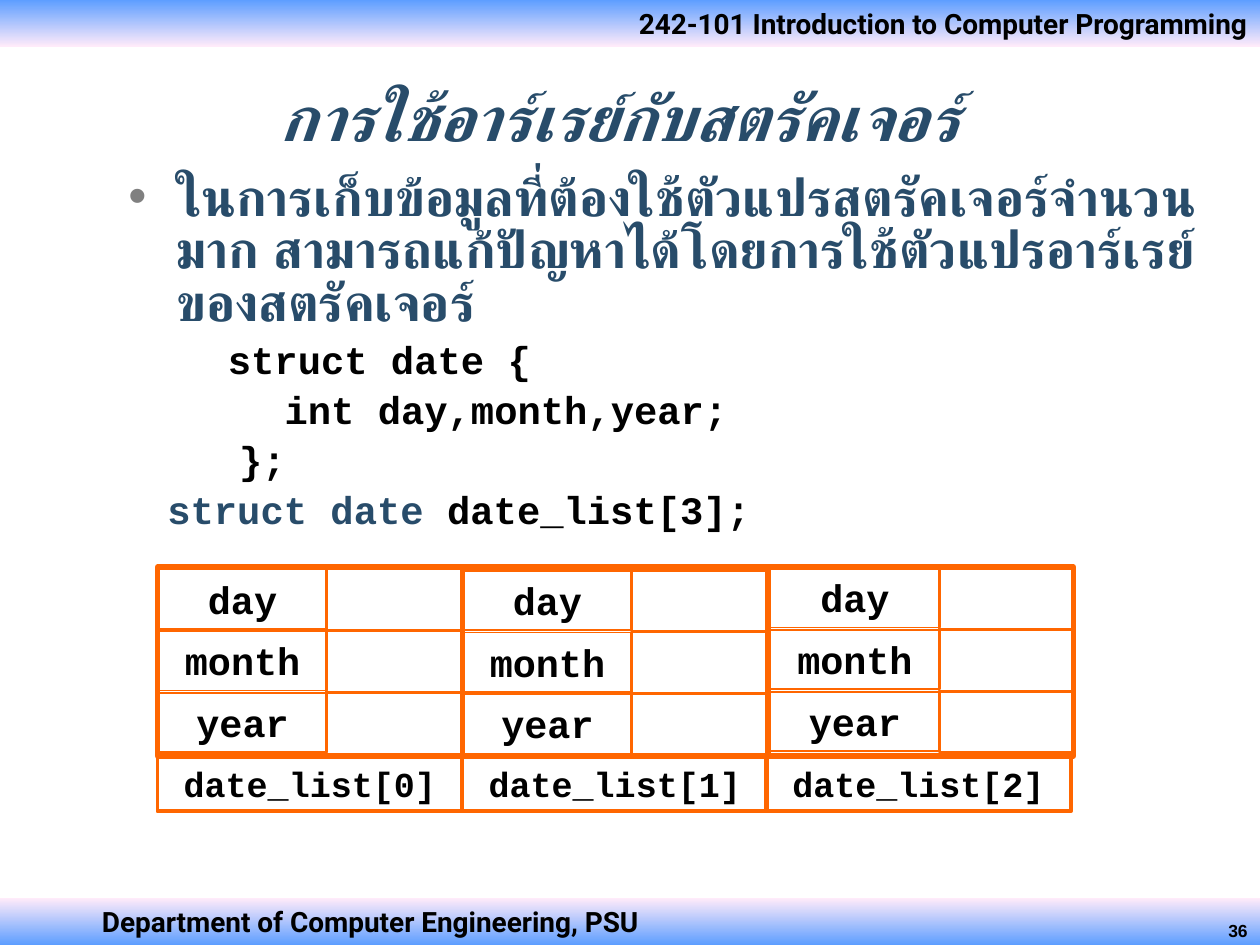
from pptx import Presentation
from pptx.dml.color import RGBColor
from pptx.enum.shapes import MSO_SHAPE as Shape
from pptx.enum.text import MSO_ANCHOR as Anchor, PP_ALIGN as Align
from pptx.oxml import parse_xml
from pptx.oxml.ns import nsdecls
from pptx.util import Inches, Pt


def color(value):
    return RGBColor.from_string(value)


class SlideBuilder:
    SANS, MONO = "Roboto", "Courier New"
    BLACK, NAVY, ORANGE = "000000", "284C6A", "FF6600"
    SKY, PINK, GRAY = "5E9EFF", "FFEBFA", "808080"

    def __init__(self, deck):
        self.page = deck.slides.add_slide(deck.slide_layouts[6])

    def style(self, para, size, font, ink=BLACK, italic=False, align=Align.LEFT):
        para.alignment = align
        para.font.size = Pt(size)
        para.font.name = font
        para.font.bold = True
        para.font.italic = italic
        para.font.color.rgb = color(ink)

    def textbox(self, left, top, width, height, anchor=Anchor.TOP):
        box = self.page.shapes.add_textbox(
            Inches(left), Inches(top), Inches(width), Inches(height))
        box.text_frame.word_wrap = True
        box.text_frame.vertical_anchor = anchor
        return box.text_frame

    def label(self, left, top, width, height, text, size, font,
              ink=BLACK, italic=False, align=Align.RIGHT, anchor=Anchor.TOP):
        para = self.textbox(left, top, width, height, anchor).paragraphs[0]
        para.text = text
        self.style(para, size, font, ink, italic, align)

    def rectangle(self, left, top, width, height):
        box = self.page.shapes.add_shape(
            Shape.RECTANGLE, Inches(left), Inches(top), Inches(width), Inches(height))
        box.shadow.inherit = False
        box.text_frame.vertical_anchor = Anchor.TOP
        return box

    def band(self, top, colors, text, align, inset=0.1):
        box = self.rectangle(0, top, 10, 0.37)
        box.line.fill.background()
        box.fill.gradient()
        box.fill.gradient_angle = 270
        for stop, position, value in zip(box.fill.gradient_stops, (0, 1), colors):
            stop.position = position
            stop.color.rgb = color(value)
        box.text_frame.margin_left = Inches(inset)
        para = box.text_frame.paragraphs[0]
        para.text = text
        self.style(para, 16, self.SANS, align=align)

    def cell(self, left, top, width, height, weight, text="", size=22):
        box = self.rectangle(left, top, width, height)
        box.fill.background()
        box.line.color.rgb = color(self.ORANGE)
        box.line.width = Pt(weight)
        if text:
            para = box.text_frame.paragraphs[0]
            para.text = text
            self.style(para, size, self.MONO, align=Align.CENTER)

    def body_line(self, para, spans, size, font, margin, before, bullet=False):
        for text, ink in spans:
            span = para.add_run()
            span.text = text
            span.font.color.rgb = color(ink)
        self.style(para, size, font)
        para.line_spacing = 0.85
        para.space_before = Pt(before)
        props = para._p.get_or_add_pPr()
        props.set("marL", str(Inches(margin)))
        if bullet:
            props.set("indent", str(-Inches(margin)))
            marks = (f'<a:buClr {nsdecls("a")}><a:srgbClr val="{self.GRAY}"/></a:buClr>',
                     f'<a:buFont {nsdecls("a")} typeface="Arial"/>',
                     f'<a:buChar {nsdecls("a")} char="•"/>')
            for mark in marks:
                props.find("{*}defRPr").addprevious(parse_xml(mark))

    def record(self, index, left, top, frame_left, caption_left):
        for row, field in enumerate(("day", "month", "year")):
            row_top = top + row * 0.49
            self.cell(left, row_top, 1.35, 0.47, 1, field)
            self.cell(left + 1.34, row_top, 1.08, 0.48, 1)
        self.cell(frame_left, 4.5, 2.42, 1.5, 3)
        self.cell(caption_left, 6, 2.42, 0.44, 2.25, f"date_list[{index}]", 20)


def main():
    deck = Presentation()
    deck.slide_width, deck.slide_height = Inches(10), Inches(7.5)
    build = SlideBuilder(deck)
    black, navy = build.BLACK, build.NAVY

    build.band(0, (build.SKY, build.PINK),
               "242-101 Introduction to Computer Programming", Align.RIGHT)
    build.band(7.13, (build.PINK, build.SKY),
               "Department of Computer Engineering, PSU", Align.LEFT, 0.81)
    build.label(7.92, 7.25, 2.08, 0.25, "36", 10, "Arial")
    build.label(0.5, 0.42, 8.83, 1, "การใช้อาร์เรย์กับสตรัคเจอร์", 36, build.SANS,
                navy, True, Align.CENTER, Anchor.MIDDLE)

    body = build.textbox(0.92, 1.33, 9.08, 3.08)
    intro = ("ในการเก็บข้อมูลที่ต้องใช้ตัวแปรสตรัคเจอร์จำนวนมาก "
             "สามารถแก้ปัญหาได้โดยการใช้ตัวแปรอาร์เรย์ของสตรัคเจอร์")
    build.body_line(body.paragraphs[0], [(intro, navy)], 29.6, build.SANS, 0.38, 8, True)
    code = [
        (0.79, [("struct date {", black)]),
        (1.24, [("int day,month,year;", black)]),
        (0.88, [("};", black)]),
        (0.31, [("struct date ", navy), ("date_list[3];", black)]),
    ]
    for margin, spans in code:
        build.body_line(body.add_paragraph(), spans, 22.2, build.MONO, margin, 6)

    records = [(1.25, 4.52, 1.25, 1.25), (3.67, 4.53, 3.67, 3.67), (6.11, 4.51, 6.1, 6.08)]
    for index, places in enumerate(records):
        build.record(index, *places)

    deck.save("out.pptx")


if __name__ == "__main__":
    main()
